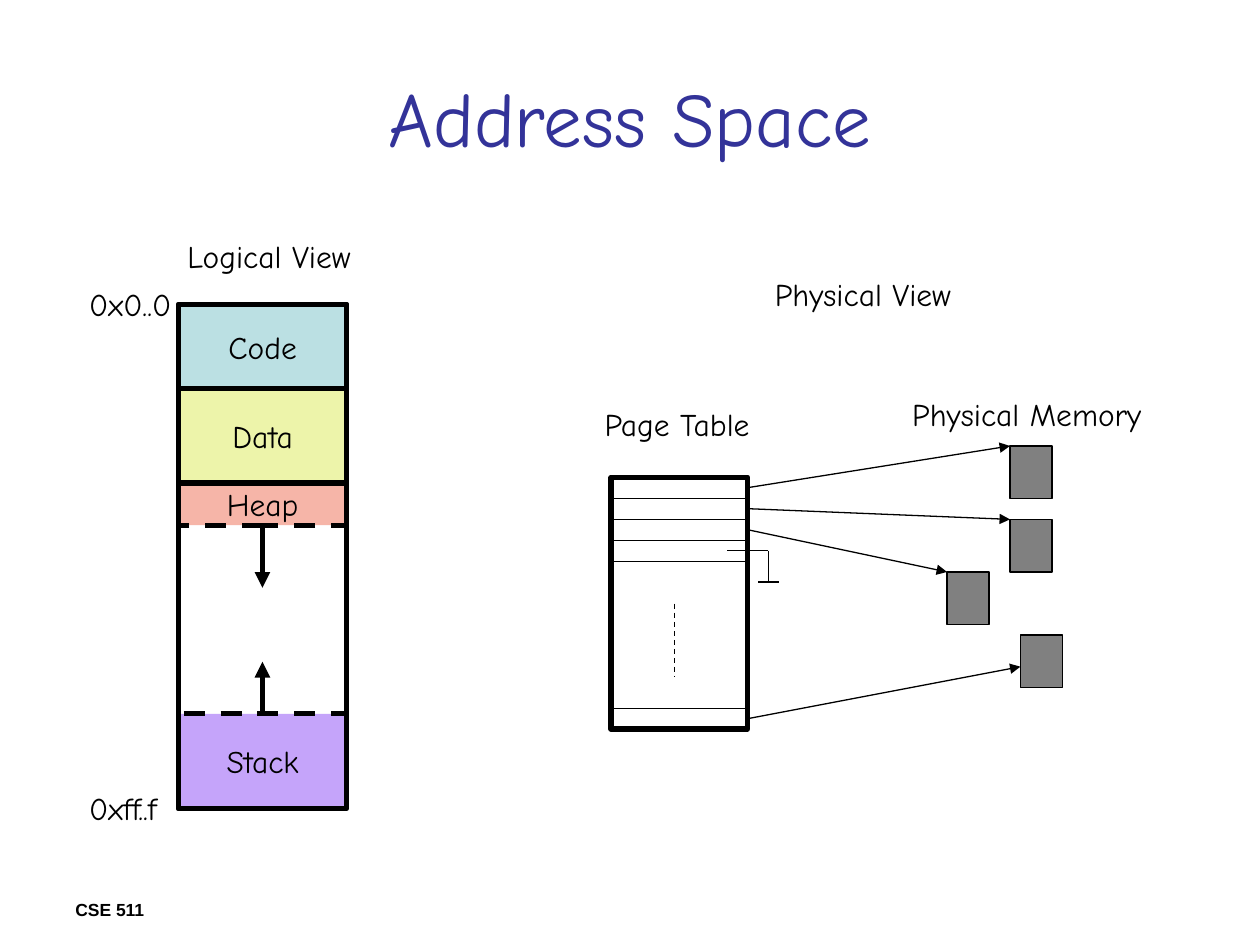
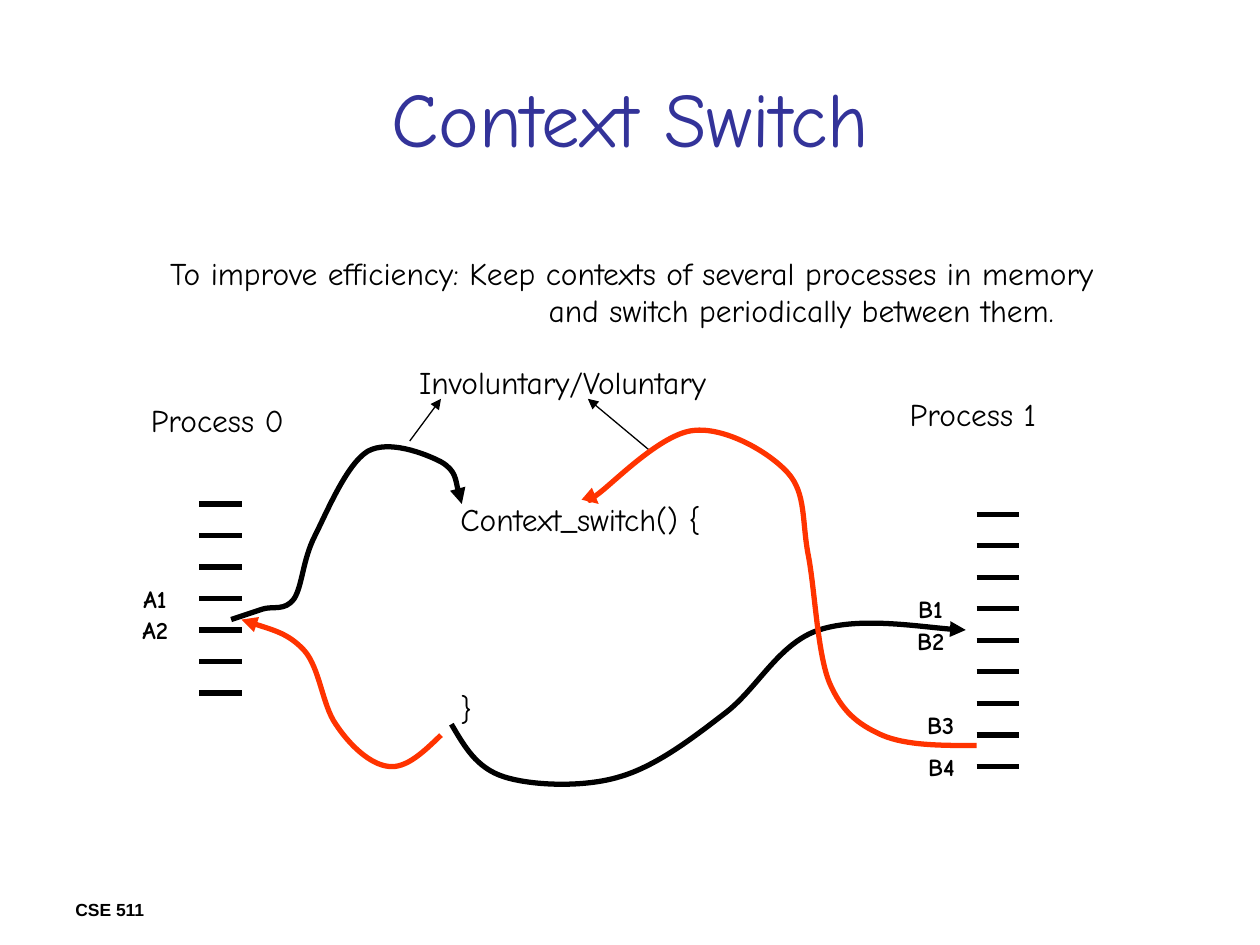
"""Build two operating-system slides: address space and context switch."""
from lxml import etree
from pptx import Presentation
from pptx import util as u
from pptx.dml.color import RGBColor
from pptx.enum import dml, shapes, text
from pptx.oxml.ns import qn

BLACK = RGBColor(0x00, 0x00, 0x00)
TITLE_BLUE = RGBColor(0x33, 0x33, 0x99)
CODE_TEAL = RGBColor(0xBB, 0xE0, 0xE3)
DATA_YELLOW = RGBColor(0xED, 0xF4, 0xAA)
HEAP_PINK = RGBColor(0xF6, 0xB5, 0xA8)
STACK_PURPLE = RGBColor(0xC5, 0xA4, 0xFA)
FRAME_GRAY = RGBColor(0x80, 0x80, 0x80)
SWITCH_RED = RGBColor(0xFF, 0x33, 0x00)
HAND_FONT = "Comic Neue"
THICK, THIN = 3, 0.75


def add_label(slide, wording, left, top, width, height=1.02, size=18, bold=False, font=HAND_FONT):
    """Add a left-aligned text box that does not wrap."""
    label = slide.shapes.add_textbox(u.Cm(left), u.Cm(top), u.Cm(width), u.Cm(height))
    frame = label.text_frame
    frame.text = wording
    frame.word_wrap = False
    frame.auto_size = text.MSO_AUTO_SIZE.SHAPE_TO_FIT_TEXT
    for paragraph in frame.paragraphs:
        for run in paragraph.runs:
            run.font.name, run.font.size, run.font.bold = font, u.Pt(size), bold
            run.font.color.rgb = BLACK
    return label


def style_line(shape, width, arrow=False, dashed=False, color=BLACK):
    """Set the outline of a shape or connector and drop its shadow."""
    shape.line.color.rgb = color
    shape.line.width = u.Pt(width)
    if dashed:
        shape.line.dash_style = dml.MSO_LINE.DASH
    properties = shape._element.spPr
    if arrow:
        etree.SubElement(properties.find(qn("a:ln")), qn("a:tailEnd"), type="triangle")
    etree.SubElement(properties, qn("a:effectLst"))


presentation = Presentation()
presentation.slide_width, presentation.slide_height = u.Cm(25.4), u.Cm(19.05)
layout = presentation.slide_layouts[5]
layout_title = layout.placeholders[0]
layout_title.left, layout_title.top = u.Cm(1.27), u.Cm(0.76)
layout_title.width, layout_title.height = u.Cm(22.86), u.Cm(3.18)

for heading in ("Address Space", "Context Switch"):
    slide = presentation.slides.add_slide(layout)
    frame = slide.shapes.title.text_frame
    frame.text = heading
    frame.vertical_anchor = text.MSO_ANCHOR.MIDDLE
    paragraph = frame.paragraphs[0]
    paragraph.alignment = text.PP_ALIGN.CENTER
    font = paragraph.runs[0].font
    font.name, font.size, font.color.rgb = HAND_FONT, u.Pt(44), TITLE_BLUE
    footer = add_label(slide, "CSE 511", 1.27, 17.99, 5.92, 0.64, 10, True, "Arial")
    footer.text_frame.word_wrap = True
address_slide, switch_slide = presentation.slides

TABLE_LEFT, TABLE_TOP, TABLE_WIDTH, TABLE_HEIGHT = 12.32, 9.62, 2.75, 5.08
TABLE_RIGHT = TABLE_LEFT + TABLE_WIDTH
ROW_HEIGHT = TABLE_HEIGHT / 12
SPACE_LEFT, SPACE_WIDTH = 3.6, 3.39
FRAME_WIDTH, FRAME_HEIGHT = 0.85, 1.06
page_frames = [
    (0, 20.36, 8.99, 0),
    (1, 20.36, 10.47, 0),
    (2, 19.09, 11.53, 0),
    (11, 20.57, 12.8, 0.64),
]

boxes = [
    ("Stack", SPACE_LEFT, 14.39, SPACE_WIDTH, 1.91, STACK_PURPLE, THICK, True),
    ("Heap", SPACE_LEFT, 9.74, SPACE_WIDTH, 0.85, HEAP_PINK, THICK, True),
    ("", SPACE_LEFT, 6.14, SPACE_WIDTH, 10.16, None, THICK, False),
    ("Code", SPACE_LEFT, 6.14, SPACE_WIDTH, 1.69, CODE_TEAL, THICK, False),
    ("Data", SPACE_LEFT, 7.83, SPACE_WIDTH, 1.91, DATA_YELLOW, THICK, False),
    ("", TABLE_LEFT, TABLE_TOP, TABLE_WIDTH, TABLE_HEIGHT, None, THICK, False),
]
for row, left, top, entry in page_frames:
    boxes.append(("", left, top, FRAME_WIDTH, FRAME_HEIGHT, FRAME_GRAY, THIN, False))

for name, left, top, width, height, fill, line_width, dashed in boxes:
    box = address_slide.shapes.add_shape(
        shapes.MSO_SHAPE.RECTANGLE, u.Cm(left), u.Cm(top), u.Cm(width), u.Cm(height))
    if fill is None:
        box.fill.background()
    else:
        box.fill.solid()
        box.fill.fore_color.rgb = fill
    style_line(box, line_width, dashed=dashed)
    if name:
        frame = box.text_frame
        frame.text = name
        frame.word_wrap = False
        frame.vertical_anchor = text.MSO_ANCHOR.MIDDLE
        paragraph = frame.paragraphs[0]
        paragraph.alignment = text.PP_ALIGN.CENTER
        font = paragraph.runs[0].font
        font.name, font.size, font.color.rgb = HAND_FONT, u.Pt(18), BLACK

invalid_row = TABLE_TOP + 3.5 * ROW_HEIGHT
lines = [
    (address_slide, 5.29, 10.58, 5.29, 11.85, THICK, True, False),
    (address_slide, 5.29, 14.39, 5.29, 13.34, THICK, True, False),
    (address_slide, 13.59, 12.17, 13.59, 13.64, THIN, False, True),
    (address_slide, 14.66, invalid_row, 15.49, invalid_row, THIN, False, False),
    (address_slide, 15.49, invalid_row, 15.49, 11.73, THIN, False, False),
    (address_slide, 15.29, 11.73, 15.7, 11.73, THIN, False, False),
    (switch_slide, 8.26, 8.89, 8.89, 8.04, THIN, True, False),
    (switch_slide, 13.12, 9.1, 11.85, 8.04, THIN, True, False),
]
for row in (1, 2, 3, 4, 11):
    y = TABLE_TOP + row * ROW_HEIGHT
    lines.append((address_slide, TABLE_LEFT, y, TABLE_RIGHT, y, THIN, False, False))
for row, left, top, entry in page_frames:
    y = TABLE_TOP + (row + 0.5) * ROW_HEIGHT
    lines.append((address_slide, TABLE_RIGHT, y, left, top + entry, THIN, True, False))
for left, top, count in ((4.02, 10.16, 7), (19.69, 10.37, 9)):
    for instruction in range(count):
        y = top + instruction * 2.54 / 4
        lines.append((switch_slide, left, y, left + 0.85, y, THICK, False, False))

for slide, x1, y1, x2, y2, width, arrow, dashed in lines:
    connector = slide.shapes.add_connector(
        shapes.MSO_CONNECTOR.STRAIGHT, u.Cm(x1), u.Cm(y1), u.Cm(x2), u.Cm(y2))
    style_line(connector, width, arrow, dashed)

for wording, left, top, width in (
    ("Logical View", 3.53, 4.65, 3.9),
    ("0x0..0", 1.55, 5.62, 2.2),
    ("0xff..f", 1.55, 15.78, 2),
    ("Page Table", 11.94, 8.05, 3.6),
    ("Physical Memory", 18.14, 7.83, 5.2),
    ("Physical View", 15.37, 5.41, 4.1),
):
    add_label(address_slide, wording, left, top, width)

for wording, left, top, width in (
    ("Process 0", 2.79, 7.95, 3.3),
    ("Process 1", 18.09, 7.83, 3.2),
    ("Involuntary/Voluntary", 8.2, 7.19, 6.5),
):
    add_label(switch_slide, wording, left, top, width)

for wording, left, top in (
    ("A1", 2.64, 11.64),
    ("A2", 2.62, 12.27),
    ("B1", 18.26, 11.86),
    ("B2", 18.24, 12.5),
    ("B3", 18.44, 14.18),
    ("B4", 18.46, 15.04),
):
    add_label(switch_slide, wording, left, top, 1.2, 0.86, 14, True)

purpose = add_label(
    switch_slide,
    "To improve efficiency: Keep contexts of several processes in memory\n"
    "and switch periodically between them.",
    3.18, 4.99, 19.4, 1.78)
continuation = purpose.text_frame.paragraphs[1]._p.get_or_add_pPr()
continuation.set("marL", str(u.Cm(7.63)))
continuation.set("indent", "0")

function = add_label(switch_slide, "Context_switch() {\n}", 9.03, 9.96, 5.5, 4.83)
function.text_frame.paragraphs[1].space_before = u.Pt(86)

switch_curves = [
    (BLACK, [
        (4.66, 12.49), (4.87, 12.42), (5.08, 12.35), (5.29, 12.28),
        (5.5, 12.21), (5.74, 12.33), (5.93, 12.07),
        (6.1, 11.8), (6.1, 11.29), (6.35, 10.8),
        (6.6, 10.3), (6.99, 9.36), (7.41, 9.1),
        (7.83, 8.86), (8.56, 9.14), (8.89, 9.31),
        (9.2, 9.49), (9.25, 10), (9.31, 10.16)]),
    (BLACK, [
        (9.1, 14.6), (9.36, 15.04), (9.6, 15.48), (10.16, 15.66),
        (10.72, 15.84), (11.77, 15.88), (12.49, 15.66),
        (13.22, 15.45), (13.95, 14.89), (14.6, 14.39),
        (15.26, 13.9), (15.69, 12.97), (16.51, 12.7),
        (17.33, 12.43), (18.97, 12.7), (19.47, 12.7)]),
    (SWITCH_RED, [
        (19.69, 15.03), (18.97, 15.03), (18.27, 15.03), (17.78, 14.82),
        (17.29, 14.6), (16.97, 14.34), (16.72, 13.76),
        (16.48, 13.17), (16.43, 11.92), (16.3, 11.22),
        (16.16, 10.52), (16.26, 9.95), (15.88, 9.53),
        (15.49, 9.1), (14.6, 8.6), (13.97, 8.68),
        (13.33, 8.75), (12.4, 9.7), (12.07, 9.95),
        (11.75, 10.19), (11.9, 10.19), (12.07, 10.16)]),
    (SWITCH_RED, [
        (8.89, 14.82), (8.53, 15.17), (8.18, 15.5), (7.83, 15.45),
        (7.47, 15.41), (7.06, 15.04), (6.77, 14.6),
        (6.5, 14.22), (6.45, 13.48), (6.14, 13.12),
        (5.82, 12.77), (5.33, 12.65), (4.87, 12.49)]),
]
for color, points in switch_curves:
    start, *controls = [(u.Cm(x), u.Cm(y)) for x, y in points]
    builder = switch_slide.shapes.build_freeform(*start)
    builder.add_line_segments(controls, close=False)
    curve = builder.convert_to_shape()
    curve.fill.background()
    style_line(curve, THICK, arrow=True, color=color)
    outline = next(curve._element.iter(qn("a:path")))
    segments = outline.findall(qn("a:lnTo"))
    for first in range(0, len(segments), 3):
        bezier = etree.SubElement(outline, qn("a:cubicBezTo"))
        for segment in segments[first:first + 3]:
            bezier.append(segment[0])
            outline.remove(segment)

presentation.save("out.pptx")
